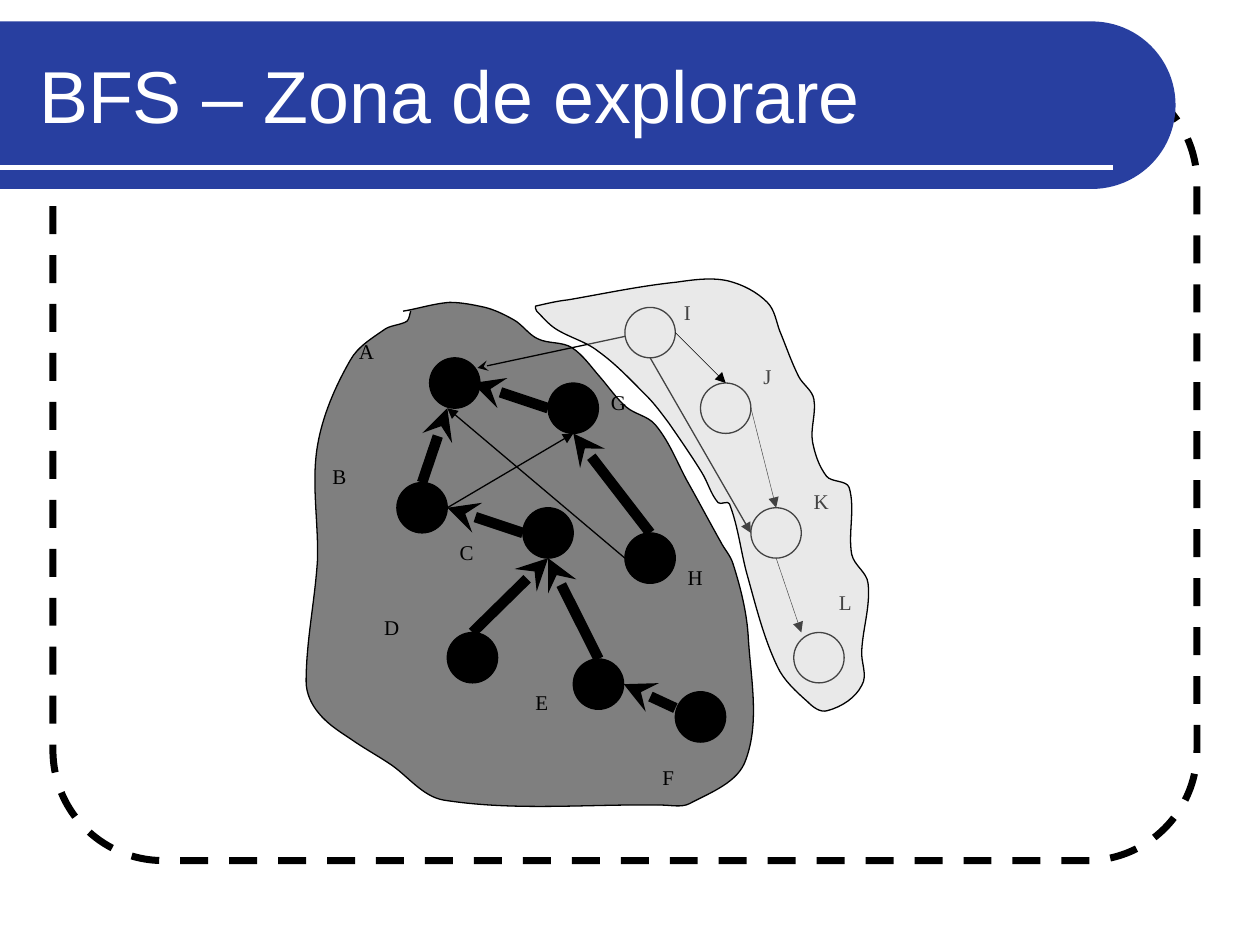
from dataclasses import dataclass
from math import dist

from pptx import Presentation
from pptx.dml.color import RGBColor
from pptx.enum import dml, shapes, text
from pptx.oxml import ns
from pptx.oxml.xmlchemy import OxmlElement
from pptx.util import Pt

PX = 9144  # EMU per px, 100 px to the inch


@dataclass(frozen=True)
class Theme:
    ink: str = "000000"
    paper: str = "FFFFFF"
    banner: str = "283FA0"
    unseen: str = "C0C0C0"
    title_font: str = "Arial"
    label_font: str = "Times New Roman"
    title_size: float = 42
    label_size: float = 12
    fine: float = 0.25
    thin: float = 0.75
    rule: float = 3
    frame: float = 4
    tree: float = 6


THEME = Theme()
DIAMETER = 40

# letter: circle left, top; label left, top
NODES = {
    "A": (341, 284, 275, 264), "B": (315, 383, 254, 363),
    "C": (415, 403, 355, 423), "D": (355, 502, 295, 483),
    "E": (455, 523, 415, 542), "F": (536, 549, 516, 602),
    "G": (435, 304, 475, 304), "H": (496, 423, 536, 443),
    "I": (496, 244, 533, 233), "J": (556, 304, 596, 284),
    "K": (596, 403, 636, 383), "L": (630, 502, 656, 463),
}
FILLS = {"I": None, "J": None, "K": THEME.paper, "L": THEME.paper}
TALL_LABELS = "ABEJL"

# Arrow ends are a node and a side: top, left, bottom, right
SIDES = {"t": (0.5, 0), "l": (0, 0.5), "b": (0.5, 1), "r": (1, 0.5)}
NUDGES = {"A": (-6, 0), "F": (0, -7), "L": (-14, 0)}
PARENT_ARROWS = ["Ar Gl", "Ab Bt", "Br Cl", "Gb Ht", "Cb Et", "Cb Dt", "Er Fl"]
NEIGHBOUR_ARROWS = [
    ("Br Gb", THEME.thin), ("Hl Ab", THEME.thin), ("Ib Kl", THEME.thin),
    ("Jr Kt", THEME.fine), ("Kb Lt", THEME.fine),
]

# Points that the zone outlines pass through
EXPLORED_ZONE = [
    (320, 247), (357, 240), (385, 244), (408, 254), (427, 269), (454, 276),
    (476, 299), (497, 323), (520, 337), (545, 381), (572, 430), (582, 448),
    (594, 507), (592, 603), (547, 638), (525, 639), (352, 635), (309, 606),
    (282, 589), (253, 566), (243, 541), (252, 445), (252, 354), (278, 286),
    (306, 261), (323, 255), (326, 247),
]
UNSEEN_ZONE = [
    (425, 243), (451, 238), (537, 224), (578, 223), (609, 240), (619, 263),
    (634, 299), (646, 317), (645, 351), (656, 378), (674, 387), (676, 440),
    (689, 463), (684, 516), (684, 544), (657, 564), (641, 557), (617, 529),
    (593, 456), (579, 400), (570, 399), (557, 375), (531, 336), (513, 314),
    (475, 279), (441, 261), (426, 247), (425, 243),
]


def px(*lengths):
    return [round(length * PX) for length in lengths]


def paint(shape, fill, weight=0, opacity=100):
    shape.shadow.inherit = False
    if fill:
        shape.fill.solid()
        shape.fill.fore_color.rgb = RGBColor.from_string(fill)
        if opacity < 100:
            alpha = OxmlElement("a:alpha")
            alpha.set("val", str(opacity * 1000))
            shape.fill._xPr.find(".//" + ns.qn("a:srgbClr")).append(alpha)
    else:
        shape.fill.background()
    if weight:
        shape.line.color.rgb = RGBColor.from_string(THEME.ink)
        shape.line.width = Pt(weight)
    else:
        shape.line.fill.background()


def smooth(points):
    """Give two control points and the end point for each step."""
    before = points[:1] + points[:-1]
    after = points[1:] + points[-1:]
    slopes = [((bx - ax) / (dist(a, b) or 1), (by - ay) / (dist(a, b) or 1))
              for a, b in zip(before, after) for (ax, ay), (bx, by) in [(a, b)]]
    curves = []
    for i, (start, end) in enumerate(zip(points, points[1:])):
        reach = dist(start, end) / 3
        leave = [p + reach * s for p, s in zip(start, slopes[i])]
        arrive = [p - reach * s for p, s in zip(end, slopes[i + 1])]
        curves += [leave, arrive, end]
    return curves


def add_zone(slide, points, fill, opacity):
    builder = slide.shapes.build_freeform(*points[0], scale=PX)
    builder.add_line_segments(smooth(points), close=points[0] == points[-1])
    zone = builder.convert_to_shape()
    # Join each run of three points into one Bézier curve
    steps = zone._element.findall(".//" + ns.qn("a:lnTo"))
    for first in range(0, len(points) * 3 - 3, 3):
        curve = OxmlElement("a:cubicBezTo")
        steps[first].addprevious(curve)
        for step in steps[first:first + 3]:
            curve.append(step[0])
            step.getparent().remove(step)
    paint(zone, fill, THEME.thin, opacity)


def add_line(slide, start, end, weight, color=THEME.ink, tip=None, style=None):
    line = slide.shapes.add_connector(
        shapes.MSO_CONNECTOR.STRAIGHT, *px(*start, *end))
    line.line.color.rgb = RGBColor.from_string(color)
    line.line.width = Pt(weight)
    if tip:
        arrowhead = OxmlElement(tip)
        arrowhead.set("type", style)
        line.line._get_or_add_ln().append(arrowhead)
    line._element.spPr.append(OxmlElement("a:effectLst"))


def ends(route):
    """Turn a route such as 'Ar Gl' into two points."""
    for letter, side in route.split():
        left, top = NODES[letter][:2]
        across, down = SIDES[side]
        dx, dy = NUDGES.get(letter, (0, 0))
        yield left + across * DIAMETER + dx, top + down * DIAMETER + dy


def write(frame, wording, font, size, color):
    frame.word_wrap = True
    frame.text = wording
    style = frame.paragraphs[0].runs[0].font
    style.name, style.size = font, Pt(size)
    style.color.rgb = RGBColor.from_string(color)


def add_backdrop(slide):
    frame = slide.shapes.add_shape(
        shapes.MSO_SHAPE.ROUNDED_RECTANGLE, *px(42, 58, 908, 625))
    frame.adjustments[0] = 0.14
    paint(frame, None, THEME.frame)
    frame.line.dash_style = dml.MSO_LINE.DASH
    # Banner with a round right end
    banner = slide.shapes.add_shape(
        shapes.MSO_SHAPE.ROUND_2_SAME_RECTANGLE, *px(400, -383, 133, 933))
    banner.adjustments[0] = 0.5
    banner.rotation = 90
    paint(banner, THEME.banner)
    add_line(slide, (0, 133), (883, 133), THEME.rule, THEME.paper)


def add_title(slide, wording):
    title = slide.shapes.title
    title.left, title.top, title.width, title.height = px(21, 25, 877, 100)
    write(title.text_frame, wording, THEME.title_font, THEME.title_size, THEME.paper)
    title.text_frame.vertical_anchor = text.MSO_ANCHOR.MIDDLE
    title.text_frame.paragraphs[0].alignment = text.PP_ALIGN.LEFT
    slide.shapes._spTree.append(title._element)  # in front of the banner


def add_graph(slide):
    for letter, (left, top, *_) in NODES.items():
        circle = slide.shapes.add_shape(
            shapes.MSO_SHAPE.OVAL, *px(left, top, DIAMETER, DIAMETER))
        paint(circle, FILLS.get(letter, THEME.ink), THEME.thin)
    # Tree arrows point back to the parent, the others to a neighbour
    for route in PARENT_ARROWS:
        add_line(slide, *ends(route), THEME.tree, tip="a:headEnd", style="stealth")
    add_line(slide, (379, 292), (496, 267), THEME.thin, tip="a:headEnd", style="stealth")
    for route, weight in NEIGHBOUR_ARROWS:
        add_line(slide, *ends(route), weight, tip="a:tailEnd", style="triangle")
    for letter, (*_, left, top) in NODES.items():
        width = 40 if letter == "I" else 60
        height = 60 if letter in TALL_LABELS else 40
        label = slide.shapes.add_textbox(*px(left, top, width, height))
        write(label.text_frame, letter, THEME.label_font, THEME.label_size, THEME.ink)
    # Translucent zones lie over the graph
    add_zone(slide, EXPLORED_ZONE, THEME.ink, 50)
    add_zone(slide, UNSEEN_ZONE, THEME.unseen, 35)
    add_line(slide, *ends("Ir Jt"), THEME.fine, tip="a:tailEnd", style="triangle")


def main():
    deck = Presentation()
    deck.slide_width, deck.slide_height = px(1000, 750)
    slide = deck.slides.add_slide(deck.slide_layouts[5])
    add_backdrop(slide)
    add_graph(slide)
    add_title(slide, "BFS – Zona de explorare")
    deck.save("out.pptx")


if __name__ == "__main__":
    main()
